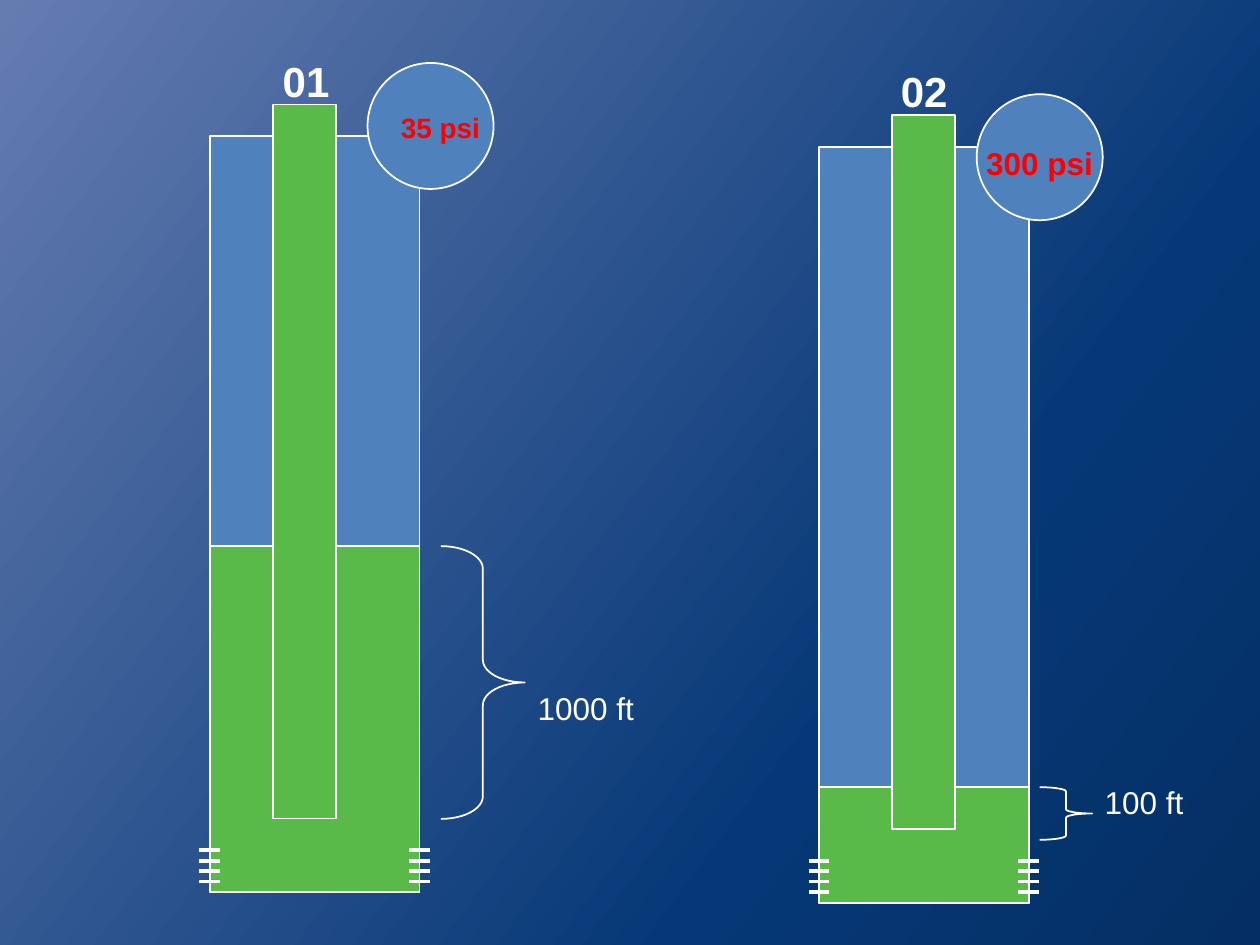
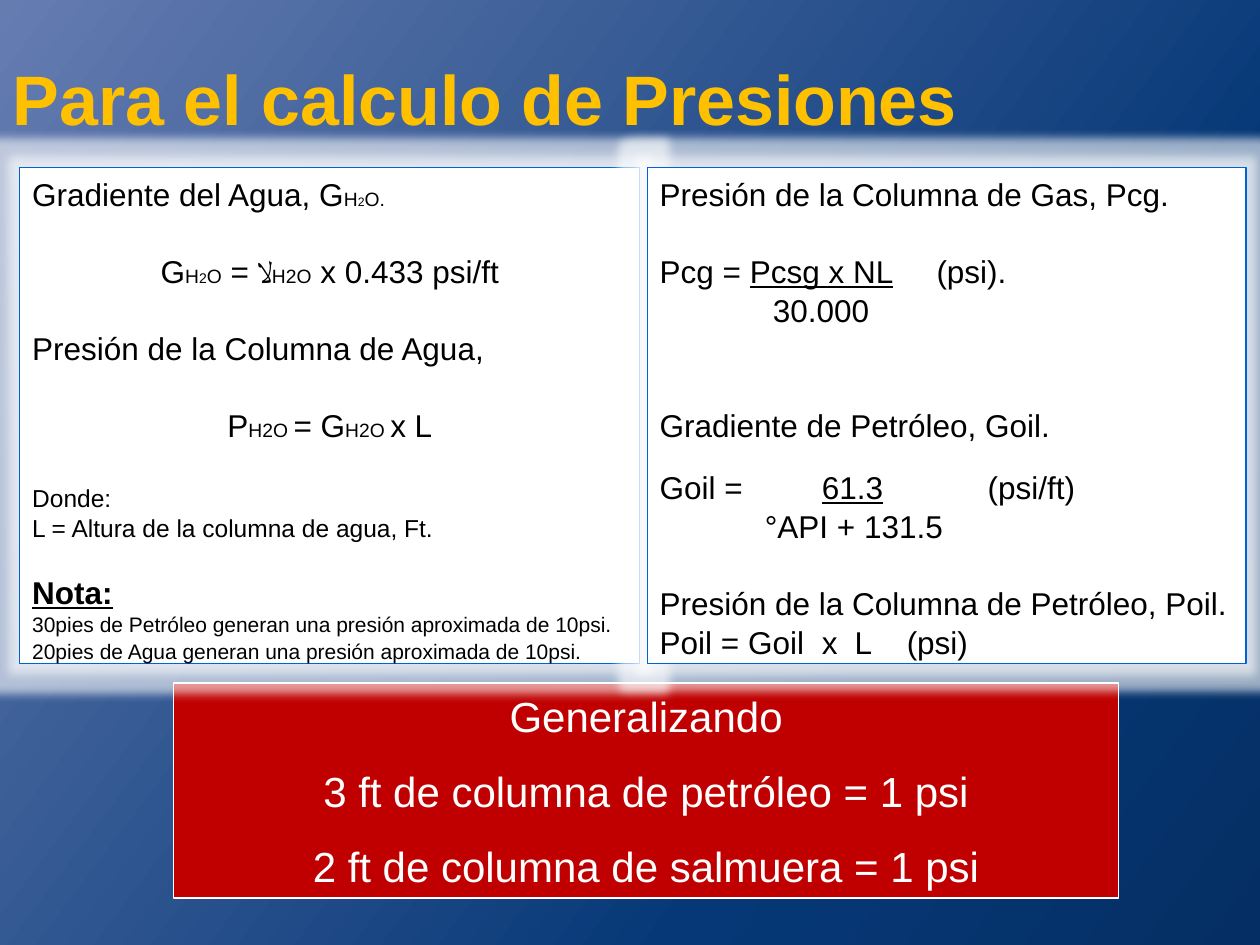
from copy import deepcopy
from dataclasses import dataclass
from typing import NamedTuple

from lxml import etree
from pptx import Presentation
from pptx.dml.color import RGBColor
from pptx.enum.shapes import MSO_CONNECTOR, MSO_SHAPE
from pptx.enum.text import MSO_ANCHOR, PP_ALIGN
from pptx.oxml.ns import qn
from pptx.util import Cm, Pt


# Theme: colours and type sizes
@dataclass(frozen=True)
class Theme:
    font: str = "Arial"
    white: str = "FFFFFF"
    black: str = "000000"
    casing: str = "4F81BD"
    fluid: str = "59B949"
    alert: str = "FF0000"
    banner: str = "C00000"
    title: str = "FFC000"
    panel_line: str = "0062D7"
    backdrop: tuple = ((0, "052F64"), (30, "063877"), (100, "657CB1"))
    backdrop_angle: int = 217
    title_size: int = 40
    big: int = 24
    body: int = 18
    gauge: int = 16
    small: int = 14
    note: int = 12
    sub: int = 11


T = Theme()
LINE = 1.04       # line spacing in the panels
GAP = 21.5        # one empty body line, in points


class Box(NamedTuple):
    """A region in centimetres."""
    x: float
    y: float
    w: float
    h: float

    def inner(self, dx, dy, w, h):
        return Box(self.x + dx, self.y + dy, w, h)

    def emu(self):
        return [Cm(v) for v in self]


def rgb(value):
    return RGBColor.from_string(value)


def set_all(target, values):
    for name, value in values.items():
        setattr(target, name, value)


# Shared building blocks
def add_shape(s, kind, box, fill=None, line=T.white, width=1, adj=()):
    sp = s.shapes.add_shape(kind, *box.emu())
    sp.shadow.inherit = False
    if fill:
        sp.fill.solid()
        sp.fill.fore_color.rgb = rgb(fill)
    else:
        sp.fill.background()
    sp.line.color.rgb = rgb(line)
    sp.line.width = Pt(width)
    for i, value in enumerate(adj):
        sp.adjustments[i] = value
    return sp


def add_run(p, text, size, color, **style):
    r = p.add_run()
    r.text = text
    set_all(r.font, {"name": T.font, "size": Pt(size), **style})
    r.font.color.rgb = rgb(color)


def add_label(s, box, text, size, color=T.white, bold=False):
    tf = s.shapes.add_textbox(*box.emu()).text_frame
    tf.word_wrap = True
    add_run(tf.paragraphs[0], text, size, color, bold=bold)


def set_tabs(p, stops):
    tabs = etree.SubElement(p._p.get_or_add_pPr(), qn("a:tabLst"))
    for stop in stops:
        etree.SubElement(tabs, qn("a:tab"), pos=str(int(Cm(stop))), algn="l")


def fill_text(sp, rows, color, anchor=MSO_ANCHOR.TOP):
    """Each row: (runs, paragraph format, tab stops, left indent)."""
    tf = sp.text_frame
    set_all(tf, {"word_wrap": True, "vertical_anchor": anchor})
    for i, (runs, form, stops, indent) in enumerate(rows):
        p = tf.add_paragraph() if i else tf.paragraphs[0]
        set_all(p, {"alignment": PP_ALIGN.LEFT, **form})
        if indent:
            p._p.get_or_add_pPr().set("marL", str(int(Cm(indent))))
        if stops:
            set_tabs(p, stops)
        for text, size, style in runs:
            add_run(p, text, size, color, **style)


def set_backdrop(master):
    fill = master.background.fill
    fill.gradient()
    fill.gradient_angle = 360 - T.backdrop_angle
    stops = master.element.find(".//" + qn("p:bg")).find(".//" + qn("a:gsLst"))
    pattern = deepcopy(stops[0])
    for child in list(stops) + list(pattern):
        child.getparent().remove(child)
    for position, color in T.backdrop:
        stop = deepcopy(pattern)
        stop.set("pos", str(position * 1000))
        etree.SubElement(stop, qn("a:srgbClr"), val=color)
        stops.append(stop)


# Slide 1: wells
def add_perforations(s, box, count=4, step=0.21):
    grp = s.shapes.add_group_shape()
    for i in range(count):
        y = Cm(box.y + i * step)
        line = grp.shapes.add_connector(
            MSO_CONNECTOR.STRAIGHT, Cm(box.x), y, Cm(box.x + box.w), y)
        line.line.color.rgb = rgb(T.white)
        line.line.width = Pt(2.25)
        etree.SubElement(line._element.spPr, qn("a:effectLst"))


def add_well(s, box, name, name_at, level, tubing_dx, gauge_dy, pressure,
             pressure_at, pressure_size, brace, brace_adj, depth, depth_at):
    rect = MSO_SHAPE.RECTANGLE
    # Casing, fluid column and tubing
    add_shape(s, rect, box, T.casing)
    add_shape(s, rect, box.inner(0, level, box.w, box.h - level), T.fluid)
    add_shape(s, rect, box.inner(tubing_dx, -0.64, 1.27, 14.39), T.fluid)
    # Pressure gauge
    add_shape(s, MSO_SHAPE.OVAL, box.inner(3.18, gauge_dy, 2.54, 2.54),
              T.casing)
    add_label(s, box.inner(*pressure_at), pressure, pressure_size, T.alert,
              True)
    # Submergence
    dx, w, h = brace
    add_shape(s, MSO_SHAPE.RIGHT_BRACE, box.inner(dx, level, w, h),
              adj=(brace_adj, 0.5))
    add_label(s, box.inner(*depth_at, 3, 1.45), depth, T.body)
    # Perforations on both walls
    for wall in (0, box.w):
        add_perforations(s, box.inner(wall - 0.21, 14.39, 0.42, 0.63))
    add_label(s, box.inner(*name_at, 1.5, 1.27), name, T.big, bold=True)


def build_wells(prs):
    s = prs.slides.add_slide(prs.slide_layouts[6])
    add_well(s, Box(4.23, 2.75, 4.23, 15.24), "01", (1.22, -1.76),
             level=8.26, tubing_dx=1.27, gauge_dy=-1.48,
             pressure="35 psi", pressure_at=(3.6, -0.64, 2.2, 0.94),
             pressure_size=T.gauge, brace=(4.66, 1.69, 5.5), brace_adj=0.27,
             depth="1000 ft", depth_at=(6.36, 11.01))
    add_well(s, Box(16.51, 2.96, 4.23, 15.24), "02", (1.4, -1.77),
             level=12.91, tubing_dx=1.48, gauge_dy=-1.06,
             pressure="300 psi", pressure_at=(3.12, -0.19, 2.92, 1.02),
             pressure_size=T.body, brace=(4.45, 1.06, 1.06), brace_adj=0.08,
             depth="100 ft", depth_at=(5.51, 12.7))


# Slide 2: formulas
def row(*pieces, size=T.body, before=0, center=False, stops=(), indent=0,
        spacing=LINE):
    """A piece is plain text, (text, size) or (text, size, style)."""
    runs = [(piece, size, {}) if isinstance(piece, str) else (*piece, {})[:3]
            for piece in pieces]
    form = {"space_before": Pt(before), "line_spacing": spacing}
    if center:
        form["alignment"] = PP_ALIGN.CENTER
    return runs, form, stops, indent


def add_title(s, box, text):
    sp = s.shapes.title
    set_all(sp, dict(zip(("left", "top", "width", "height"), box.emu())))
    fill_text(sp, [row((text, T.title_size, {"bold": True}), spacing=1.0)],
              T.title)


def add_panel(s, box, rows):
    sp = add_shape(s, MSO_SHAPE.RECTANGLE, box, T.white, T.panel_line, 0.75)
    effects = sp._element.spPr.find(qn("a:effectLst"))
    glow = etree.SubElement(effects, qn("a:glow"), rad=str(int(Pt(11))))
    color = etree.SubElement(glow, qn("a:srgbClr"), val=T.white)
    etree.SubElement(color, qn("a:alpha"), val="60000")
    fill_text(sp, rows, T.black)


def add_banner(s, box, lines):
    sp = add_shape(s, MSO_SHAPE.RECTANGLE, box, T.banner)
    rows = [row(line, size=T.big, center=True, spacing=1.0,
                before=13.8 if i else 0) for i, line in enumerate(lines)]
    fill_text(sp, rows, T.white, MSO_ANCHOR.MIDDLE)


def build_formulas(prs):
    s = prs.slides.add_slide(prs.slide_layouts[5])
    under = {"underline": True}
    h, h2o = ("H", T.sub), ("H2O", T.sub)
    h2o_gap = ("H2O ", T.sub)

    add_banner(s, Box(3.5, 13.77, 19.05, 4.34), [
        "Generalizando",
        "3 ft de columna de petróleo = 1 psi",
        "2 ft de columna de salmuera = 1 psi"])
    add_title(s, Box(0, 1, 25.4, 1.96), "Para el calculo de Presiones")

    # Water
    add_panel(s, Box(0.4, 3.38, 12.5, 10), [
        row("Gradiente del Agua, G", h, ("2", 7), ("O.", T.sub)),
        row("G", h, ("2", 8), ("O", T.sub), " = \ufefb", h2o,
            " x 0.433 psi/ft", before=GAP, center=True),
        row("Presión de la Columna de Agua,", before=GAP),
        row("P", h2o_gap, "= G", h2o_gap, "x L", before=GAP, center=True),
        row("Donde:", size=T.small, before=GAP),
        row("L = Altura de la columna de agua, Ft.", size=T.small),
        row(("Nota:", T.body, {"bold": True, **under}), before=16.7),
        row("30pies de Petróleo generan una presión aproximada de 10psi.",
            size=T.note),
        row("20pies de Agua generan una presión aproximada de 10psi.",
            size=T.note)])

    # Gas and oil
    add_panel(s, Box(13.05, 3.38, 12.07, 10), [
        row("Presión de la Columna de Gas, Pcg."),
        row("Pcg = ", ("Pcsg x NL", T.body, under), "\t(psi).",
            before=GAP, stops=(5.58,)),
        row("30.000", indent=2.28),
        row("Gradiente de Petróleo, Goil.", before=2 * GAP),
        row("Goil = ", ("\t61.3\t", T.body, under), "\t(psi/ft)",
            before=12.8, stops=(3.27, 6.09, 6.61)),
        row("°API + 131.5", indent=2.12),
        row("Presión de la Columna de Petróleo, Poil.", before=GAP),
        row("Poil = Goil\tx\tL\t(psi)", stops=(3.27, 3.93, 4.98))])


prs = Presentation()
prs.slide_width, prs.slide_height = Cm(25.4), Cm(19.05)
set_backdrop(prs.slide_master)
build_wells(prs)
build_formulas(prs)
prs.save("out.pptx")
